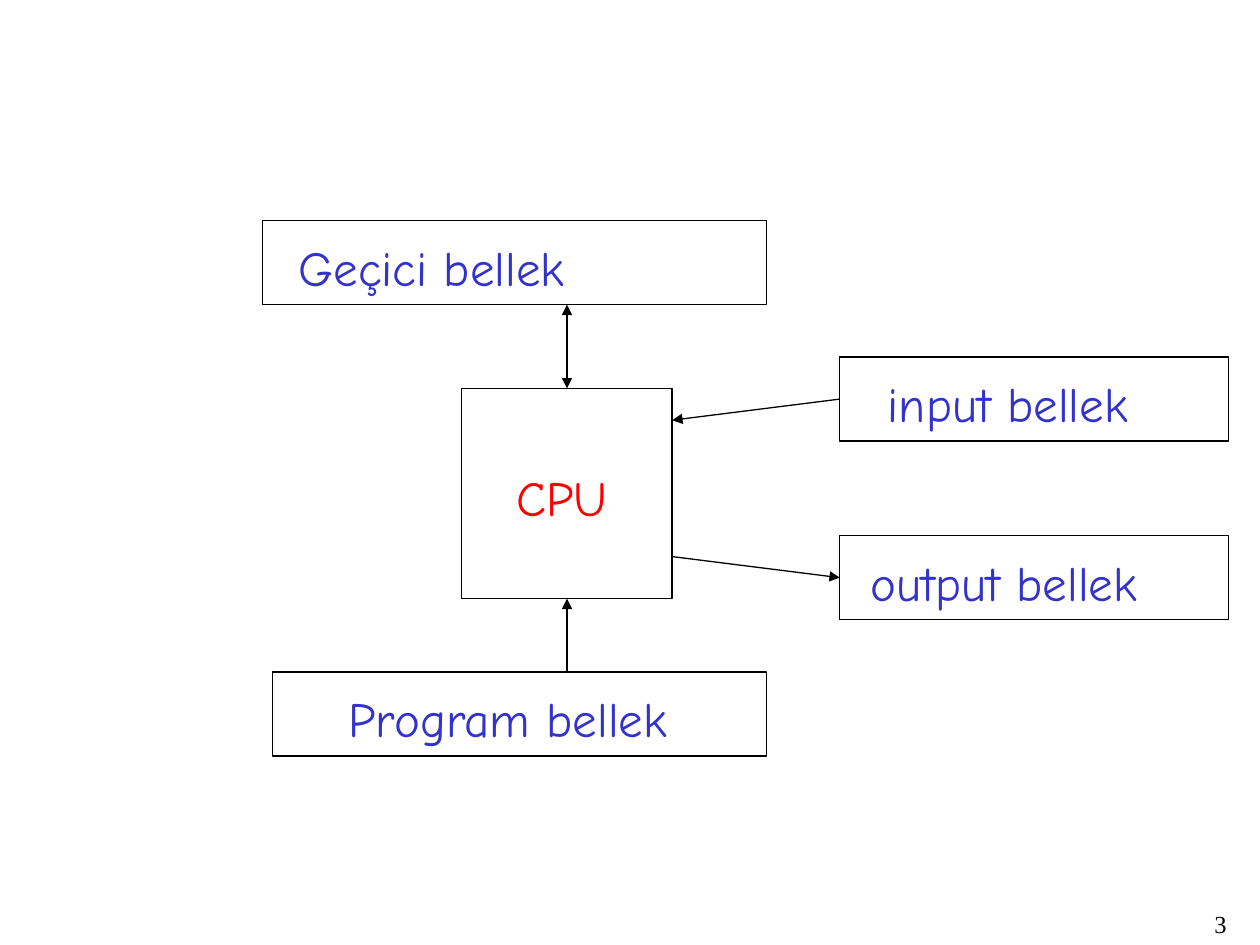
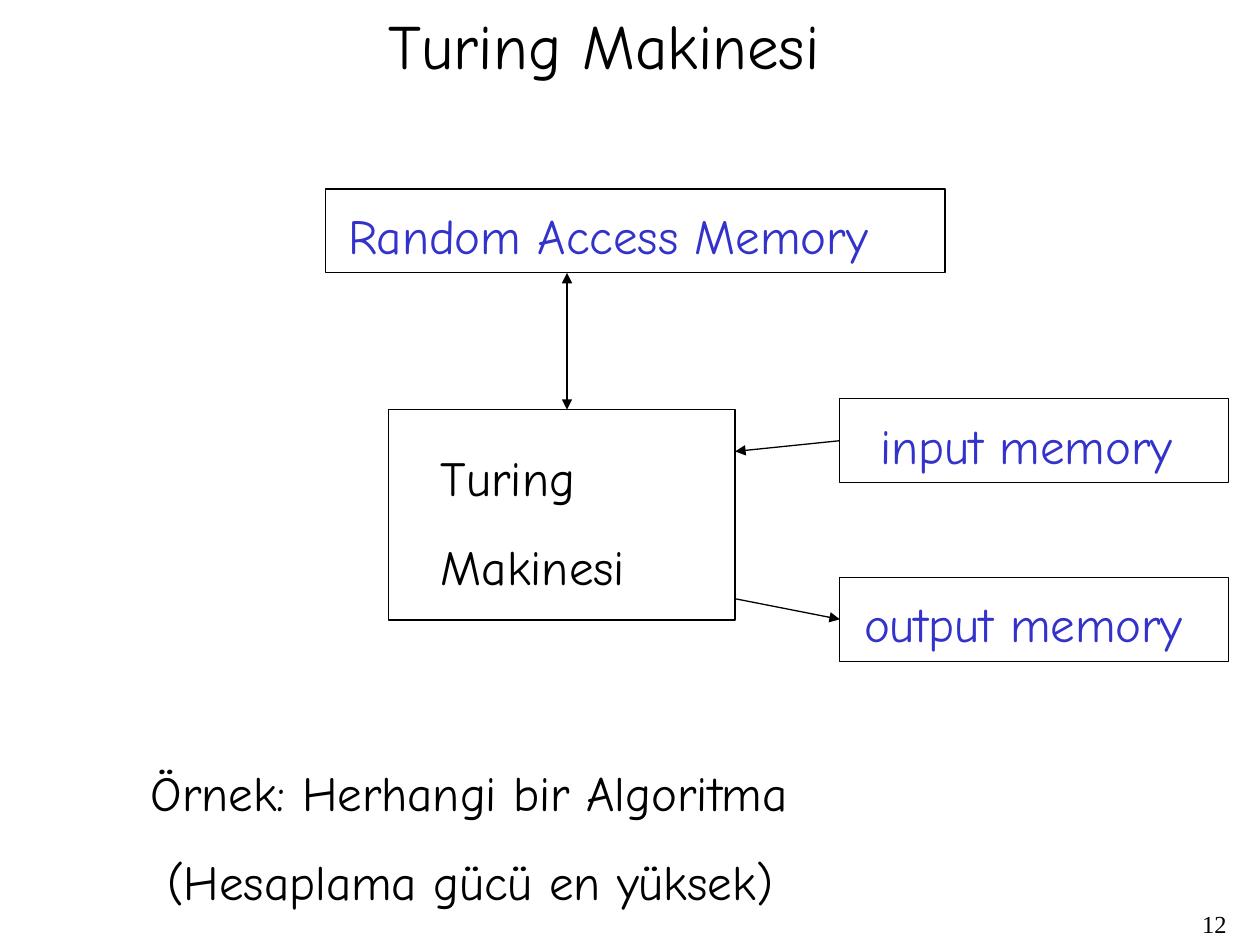
from pptx import Presentation
from pptx.dml.color import RGBColor
from pptx.enum.shapes import MSO_CONNECTOR as Link, MSO_SHAPE as Shape
from pptx.enum.text import MSO_AUTO_SIZE as Fit, PP_ALIGN as Align
from pptx.oxml.ns import qn
from pptx.util import Cm, Pt
from lxml.etree import SubElement

# Shared colours, fonts and sizes (lengths in cm)
BLACK = RGBColor(0x00, 0x00, 0x00)
BLUE = RGBColor(0x33, 0x33, 0xCC)
RED = RGBColor(0xFF, 0x00, 0x00)
HAND = "Comic Neue"
SERIF = "Times New Roman"
BODY = 28
BAR = 1.69      # height of a memory box
CORE = 4.24     # height of the middle box
DROP = 0.21     # from the top of a memory box to its label
LINE = 1.45     # height of a one-line label
PAIR = 3.25     # height of a two-line label
PORT = 16.93    # left side of the input and output boxes
WIDE = 7.83     # width of the input and output boxes
AXIS = 11.43    # the vertical arrows stand here


def add_text(slide, left, top, width, height, text, color=BLACK, size=BODY,
             wrap=False):
    """Text in the hand font; each line of text is a paragraph."""
    box = slide.shapes.add_textbox(Cm(left), Cm(top), Cm(width), Cm(height))
    frame = box.text_frame
    frame.text = text
    frame.word_wrap = wrap
    frame.auto_size = Fit.SHAPE_TO_FIT_TEXT
    for para in frame.paragraphs:
        para.space_before = Pt(size * 0.625)
        font = para.runs[0].font
        font.name, font.size = HAND, Pt(size)
        font.color.rgb = color


def add_box(slide, left, top, width, height):
    """Outlined rectangle without fill."""
    box = slide.shapes.add_shape(Shape.RECTANGLE, Cm(left), Cm(top),
                                 Cm(width), Cm(height))
    box.shadow.inherit = False
    box.fill.background()
    box.line.color.rgb = BLACK
    box.line.width = Pt(0.75)
    return box


def add_memory(slide, left, top, width, text, indent, span):
    """Memory box with its blue label, which has room to stay on one line."""
    box = add_box(slide, left, top, width, BAR)
    add_text(slide, left + indent, top + DROP, span, LINE, text, BLUE,
             wrap=True)
    return box


def add_arrow(slide, start, end, *tips):
    """Straight line; tips names the ends that carry a triangle."""
    line = slide.shapes.add_connector(Link.STRAIGHT, *map(Cm, start + end))
    line.line.color.rgb = BLACK
    line.line.width = Pt(0.75)
    props = line._element.spPr
    for tip in tips:
        SubElement(props.find(qn("a:ln")), qn("a:" + tip), type="triangle")
    SubElement(props, qn("a:effectLst"))
    return line


def add_port(slide, side, level, top, text, indent, span, tip):
    """Input or output memory, tied to the core's right side at a level."""
    box = add_memory(slide, PORT, top, WIDE, text, indent, span)
    line = add_arrow(slide, (side, level), (PORT, top + BAR / 2), tip)
    line.end_connect(box, 1)


def add_page(deck, number):
    """Blank slide with its number at the lower right."""
    slide = deck.slides.add_slide(deck.slide_layouts[6])
    box = slide.shapes.add_textbox(Cm(19.69), Cm(18.2), Cm(5.29), Cm(0.84))
    box.text_frame.word_wrap = True
    para = box.text_frame.paragraphs[0]
    para.text = str(number)
    para.alignment = Align.RIGHT
    font = para.runs[0].font
    font.name, font.size = SERIF, Pt(14)
    font.color.rgb = BLACK
    return slide


def draw_cpu(deck):
    slide = add_page(deck, 3)
    # CPU
    left, top = 9.31, 7.83
    core = add_box(slide, left, top, CORE, CORE)
    add_text(slide, 10.16, 9.31, 2.34, LINE, "CPU", RED)
    # Memories above and below
    add_memory(slide, 5.29, 4.45, 10.16, "Geçici bellek", 0.48, 6.1)
    add_memory(slide, 5.5, 13.55, 9.95, "Program bellek", 1.27, 7.2)
    line = add_arrow(slide, (AXIS, 4.45 + BAR), (AXIS, top),
                     "headEnd", "tailEnd")
    line.end_connect(core, 0)
    line = add_arrow(slide, (AXIS, top + CORE), (AXIS, 13.55), "headEnd")
    line.begin_connect(core, 2)
    # Input and output
    side = left + CORE
    add_port(slide, side, 8.47, 7.2, "input bellek", 0.72, 5.6, "headEnd")
    add_port(slide, side, 11.22, 10.8, "output bellek", 0.37, 6.1, "tailEnd")


def draw_turing(deck):
    slide = add_page(deck, 12)
    add_text(slide, 7.59, 0, 9.19, 1.78, "Turing Makinesi", size=36)
    # Turing machine
    left, top, width = 7.83, 8.26, 6.99
    add_box(slide, left, top, width, CORE)
    add_text(slide, 8.64, 8.89, 4.22, PAIR, "Turing\nMakinesi")
    # Memory above
    add_memory(slide, 6.56, 3.81, 12.49, "Random Access Memory", 0.21, 11.86)
    add_arrow(slide, (AXIS, 3.81 + BAR), (AXIS, top), "headEnd", "tailEnd")
    # Input and output
    side = left + width
    add_port(slide, side, 9.1, 8.04, "input memory", 0.57, 6.7, "headEnd")
    add_port(slide, side, 12.07, 11.64, "output memory", 0.24, 7.2, "tailEnd")
    # Example
    add_text(slide, 2.79, 15.24, 13.67, PAIR,
             "Örnek: Herhangi bir Algoritma\n (Hesaplama gücü en yüksek)")


def main():
    deck = Presentation()
    deck.slide_width, deck.slide_height = Cm(25.4), Cm(19.05)
    draw_cpu(deck)
    draw_turing(deck)
    deck.save("out.pptx")


if __name__ == "__main__":
    main()
